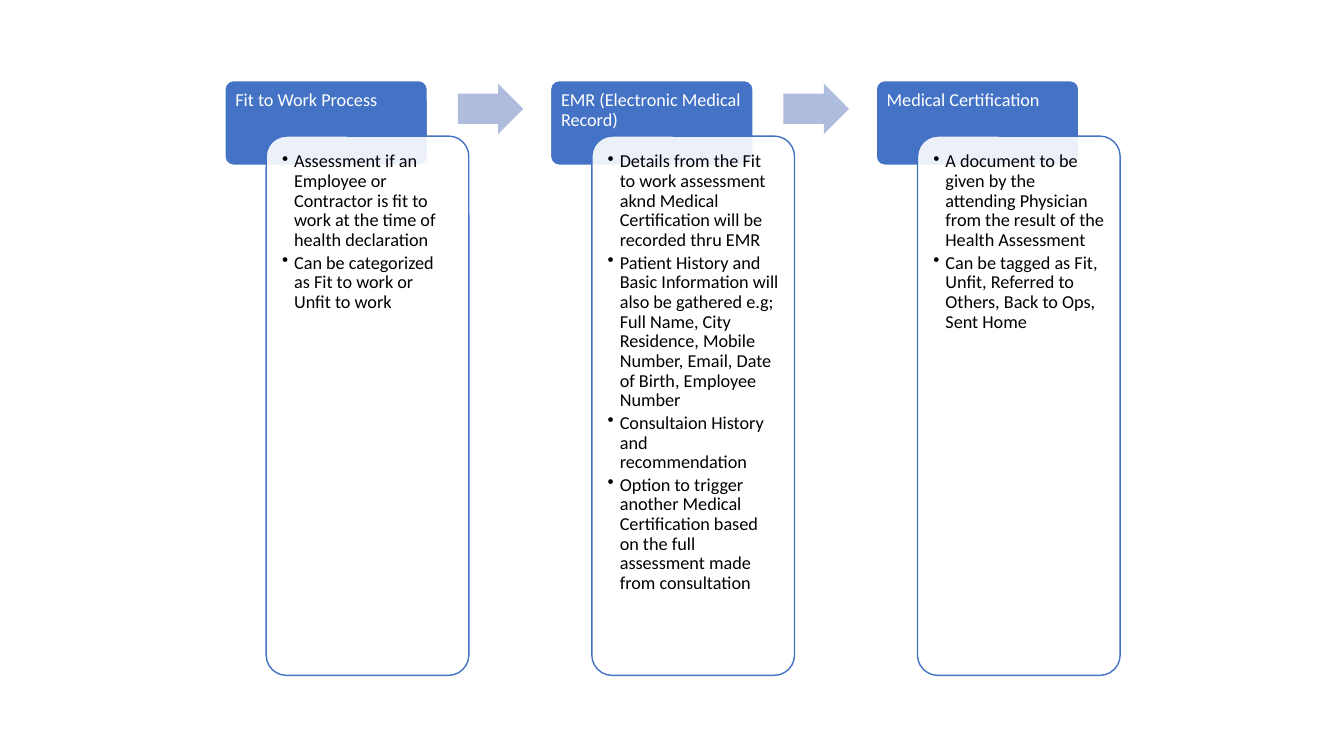
from dataclasses import dataclass

from lxml.etree import SubElement
from pptx import Presentation
from pptx.dml.color import RGBColor
from pptx.enum.shapes import MSO_SHAPE
from pptx.enum.text import MSO_ANCHOR, PP_ALIGN
from pptx.oxml.ns import qn
from pptx.util import Inches, Pt


@dataclass(frozen=True)
class Theme:
    """Colours, font and type size of the slide."""
    blue: str = "4472C4"
    arrow: str = "B0BCDE"
    white: str = "FFFFFF"
    black: str = "000000"
    font: str = "Calibri"
    text_size: float = 13


STEPS = [
    ("Fit to Work Process", [
        "Assessment if an Employee or Contractor is fit to work at the time "
        "of health declaration",
        "Can be categorized as Fit to work or Unfit to work",
    ]),
    ("EMR (Electronic Medical Record)", [
        "Details from the Fit to work assessment aknd Medical Certification "
        "will be recorded thru EMR",
        "Patient History and Basic Information will also be gathered e.g; "
        "Full Name, City Residence, Mobile Number, Email, Date of Birth, "
        "Employee Number",
        "Consultaion History and recommendation",
        "Option to trigger another Medical Certification based on the full "
        "assessment made from consultation",
    ]),
    ("Medical Certification", [
        "A document to be given by the attending Physician from the result "
        "of the Health Assessment",
        "Can be tagged as Fit, Unfit, Referred to Others, Back to Ops, "
        "Sent Home",
    ]),
]
FIRST_LEFT = 2.23
STEP_PITCH = 3.23
CARD_WIDTH = 2.01


def add_bullet(paragraph, indent):
    """Give a paragraph a round bullet with a hanging indent."""
    properties = paragraph._p.get_or_add_pPr()
    properties.set("marL", str(Inches(indent)))
    properties.set("indent", str(-Inches(indent)))
    SubElement(properties, qn("a:buChar")).set("char", "•")


def write_text(shape, lines, *, font, size, color, margin, space_after,
               bullets=False):
    """Fill a shape with top-left aligned paragraphs in one format."""
    frame = shape.text_frame
    frame.word_wrap = True
    frame.vertical_anchor = MSO_ANCHOR.TOP
    frame.margin_left = frame.margin_right = Inches(margin)
    frame.margin_top = frame.margin_bottom = Inches(margin)
    frame.text = "\n".join(lines)
    for paragraph in frame.paragraphs:
        paragraph.alignment = PP_ALIGN.LEFT
        paragraph.line_spacing = 0.9
        paragraph.space_after = Pt(space_after)
        paragraph.font.name = font
        paragraph.font.size = Pt(size)
        paragraph.font.color.rgb = RGBColor.from_string(color)
        if bullets:
            add_bullet(paragraph, 0.12)


class ProcessSlide:
    """Holds the theme and the slide, and draws the parts of the process."""

    def __init__(self, slide, theme):
        """Keep the slide and theme for the drawing methods."""
        self.slide = slide
        self.theme = theme

    def add_shape(self, kind, box, adjustments, fill, line=None, opacity=None):
        """Add a preset shape with a solid fill and an optional outline."""
        shape = self.slide.shapes.add_shape(kind, *map(Inches, box))
        shape.shadow.inherit = False
        for index, value in enumerate(adjustments):
            shape.adjustments[index] = value
        shape.fill.solid()
        shape.fill.fore_color.rgb = RGBColor.from_string(fill)
        if opacity is not None:
            color = shape._element.spPr.find(qn("a:solidFill"))[0]
            SubElement(color, qn("a:alpha")).set("val", str(opacity * 1000))
        if line:
            shape.line.color.rgb = RGBColor.from_string(line)
            shape.line.width = Pt(1)
        else:
            shape.line.fill.background()
        return shape

    def add_header(self, left, title):
        """Add the blue title card of a step."""
        theme = self.theme
        card = self.add_shape(MSO_SHAPE.ROUNDED_RECTANGLE,
                              (left, 0.8, CARD_WIDTH, 0.84), [0.1],
                              theme.blue, theme.white)
        write_text(card, [title], font=theme.font, size=theme.text_size,
                   color=theme.white, margin=0.08, space_after=4.5)

    def add_details(self, left, details):
        """Add the translucent card with the bullets of a step."""
        theme = self.theme
        card = self.add_shape(MSO_SHAPE.ROUNDED_RECTANGLE,
                              (left, 1.35, CARD_WIDTH, 5.35), [0.1],
                              theme.white, theme.blue, opacity=90)
        write_text(card, details, font=theme.font, size=theme.text_size,
                   color=theme.black, margin=0.1, space_after=2, bullets=True)

    def add_arrow(self, left):
        """Add the block arrow that leads to the next step."""
        self.add_shape(MSO_SHAPE.RIGHT_ARROW, (left, 0.83, 0.65, 0.5),
                       [0.6, 0.5], self.theme.arrow)


def main():
    """Build the slide and save it."""
    presentation = Presentation()
    presentation.slide_width = Inches(13.33)
    presentation.slide_height = Inches(7.5)
    slide = presentation.slides.add_slide(presentation.slide_layouts[6])
    process = ProcessSlide(slide, Theme())
    for index, (title, details) in enumerate(STEPS):
        left = FIRST_LEFT + index * STEP_PITCH
        process.add_header(left, title)
        process.add_details(left + 0.41, details)
        if index < len(STEPS) - 1:
            process.add_arrow(left + 2.31)
    presentation.save("out.pptx")


main()
